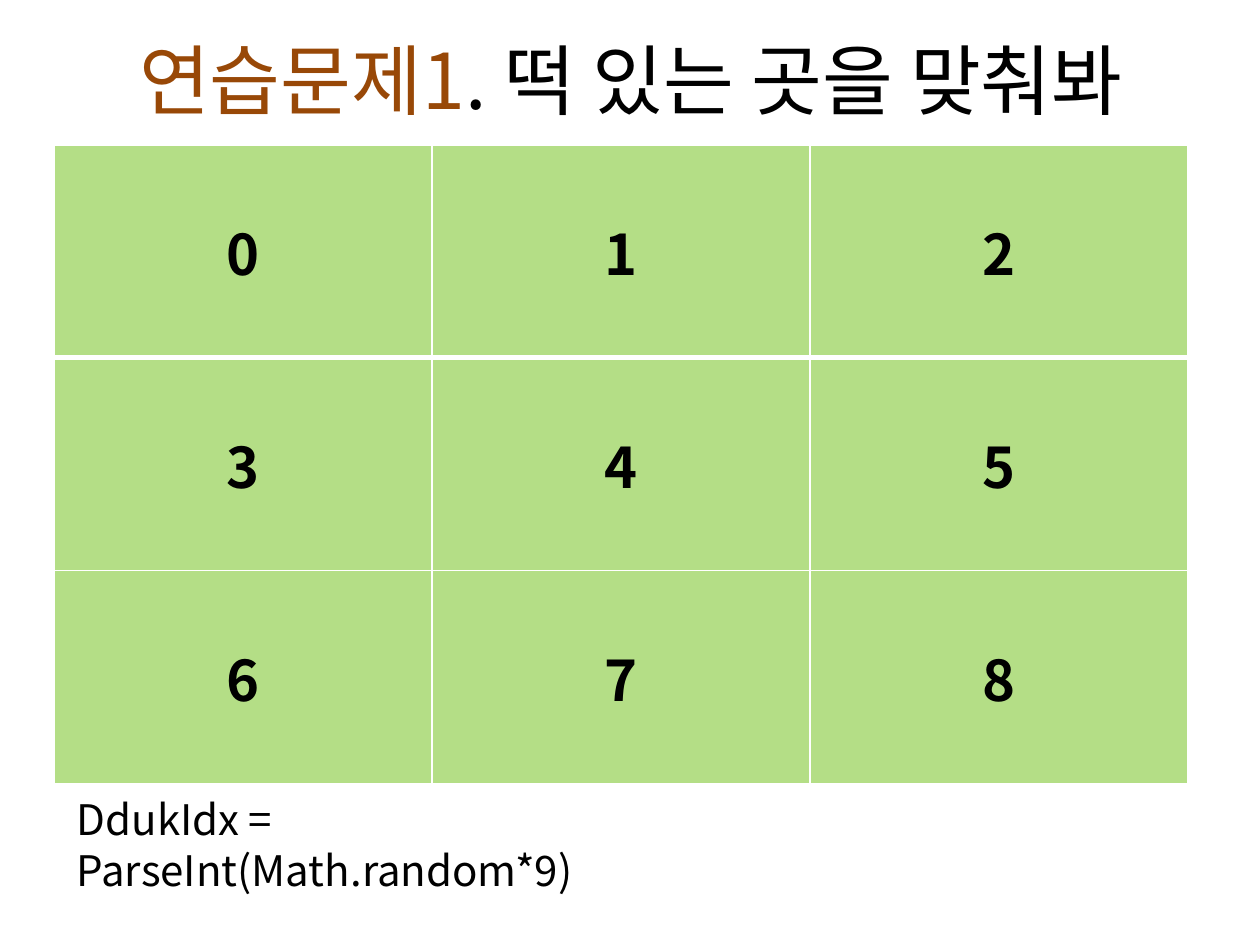
import pptx
import pptx.util
import pptx.dml.color
import pptx.enum.text
import pptx.oxml.ns
import lxml.etree

Inches = pptx.util.Inches
Pt = pptx.util.Pt
RGBColor = pptx.dml.color.RGBColor
PP_ALIGN = pptx.enum.text.PP_ALIGN
MIDDLE = pptx.enum.text.MSO_ANCHOR.MIDDLE
qn = pptx.oxml.ns.qn

BROWN = RGBColor(0x98, 0x48, 0x07)
BLACK = RGBColor(0, 0, 0)
GREEN = RGBColor(0xB4, 0xDE, 0x86)
WHITE = RGBColor(0xFF, 0xFF, 0xFF)
FONT = "Noto Sans CJK KR"
GRID_SIZE = 3


def add_run(paragraph, text, size, color, bold=False):
    run = paragraph.add_run()
    run.text = text
    run.font.size = Pt(size)
    run.font.bold = bold
    run.font.color.rgb = color
    run.font.name = FONT
    east_asian = lxml.etree.SubElement(run.font._element, qn("a:ea"))
    east_asian.set("typeface", FONT)


def add_border(cell, side, width):
    line = lxml.etree.SubElement(cell._tc.get_or_add_tcPr(), qn("a:" + side), w=str(Pt(width)))
    fill = lxml.etree.SubElement(line, qn("a:solidFill"))
    lxml.etree.SubElement(fill, qn("a:srgbClr"), val=str(WHITE))


prs = pptx.Presentation()
prs.slide_width = Inches(10)
prs.slide_height = Inches(7.5)
slide = prs.slides.add_slide(prs.slide_layouts[6])

title = slide.shapes.add_textbox(Inches(0.51), Inches(0), Inches(9), Inches(1.25)).text_frame
title.word_wrap = True
title.vertical_anchor = MIDDLE
heading = title.paragraphs[0]
heading.alignment = PP_ALIGN.CENTER
add_run(heading, "연습문제1", 44, BROWN)
add_run(heading, ". 떡 있는 곳을 맞춰봐", 44, BLACK)

board = slide.shapes.add_table(
    GRID_SIZE, GRID_SIZE, Inches(0.43), Inches(1.15), Inches(9), Inches(5.07)
).table
for row in board.rows:
    row.height = Inches(1.69)

for index, cell in enumerate(board.iter_cells()):
    row_index = index // GRID_SIZE
    add_border(cell, "lnL", 1)
    add_border(cell, "lnR", 1)
    add_border(cell, "lnT", 3 if row_index == 1 else 1)
    add_border(cell, "lnB", 3 if row_index == 0 else 1)
    cell.fill.solid()
    cell.fill.fore_color.rgb = GREEN
    cell.vertical_anchor = MIDDLE
    number = cell.text_frame.paragraphs[0]
    number.alignment = PP_ALIGN.CENTER
    add_run(number, str(index), 32, BLACK, bold=True)

formula = slide.shapes.add_textbox(Inches(0.51), Inches(6.25), Inches(5.75), Inches(0.5)).text_frame
formula.word_wrap = True
add_run(formula.paragraphs[0], "DdukIdx = ParseInt(Math.random*9)", 24, BLACK)

prs.save("out.pptx")
